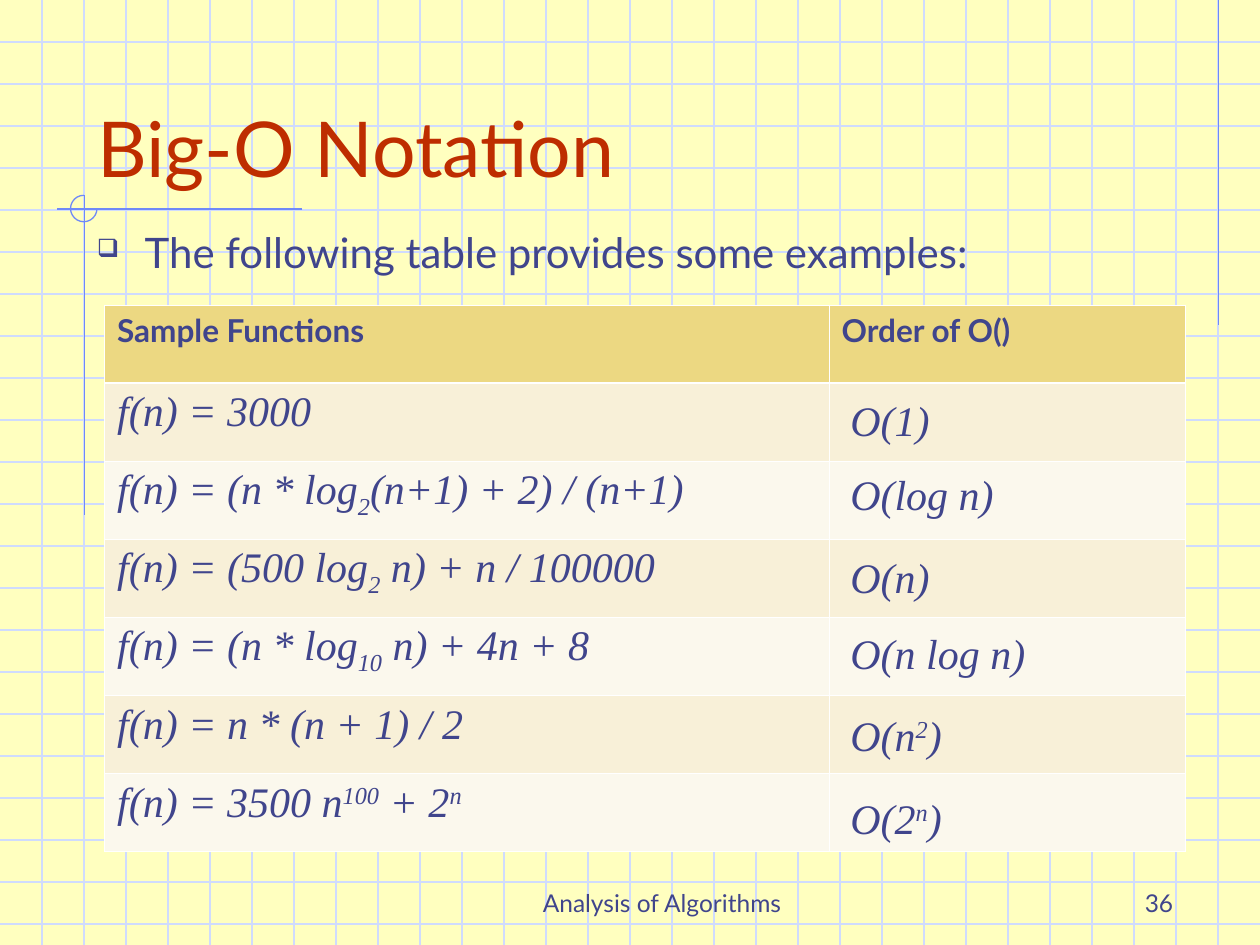
from lxml import etree
from pptx import Presentation
from pptx.dml.color import RGBColor
from pptx.enum.shapes import MSO_CONNECTOR, MSO_SHAPE
from pptx.enum.text import MSO_ANCHOR, MSO_AUTO_SIZE, PP_ALIGN
from pptx.oxml.ns import qn
from pptx.util import Inches, Pt

STRAIGHT = MSO_CONNECTOR.STRAIGHT
ARC = MSO_SHAPE.ARC
GROW = MSO_AUTO_SIZE.SHAPE_TO_FIT_TEXT
LEFT, CENTER, RIGHT = PP_ALIGN.LEFT, PP_ALIGN.CENTER, PP_ALIGN.RIGHT
TOP, BOTTOM = MSO_ANCHOR.TOP, MSO_ANCHOR.BOTTOM
COLORS = {
    "background": "FFFFBF", "grid": "CFDBFD", "accent": "6F89F7",
    "title": "BE2D00", "text": "40458C", "header": "ECD882",
    "odd row": "F8F0D8", "even row": "FBF8ED", "border": "FFFFFF",
}
SANS, SERIF = "Lato", "Times New Roman"
SUB, SUPER = -25, 30  # baseline shift in percent

# Content: a formula is a list of (text, baseline) parts
TITLE = "Big-O Notation"
INTRO = "The following table provides some examples:"
HEADERS = ["Sample Functions", "Order of O()"]
FUNCTIONS = [
    [("f(n) = 3000", 0)],
    [("f(n) = (n * log", 0), ("2", SUB), ("(n+1) + 2) / (n+1)", 0)],
    [("f(n) = (500 log", 0), ("2", SUB), (" n) + n / 100000", 0)],
    [("f(n) = (n * log", 0), ("10", SUB), (" n) + 4n + 8", 0)],
    [("f(n) = n * (n + 1) / 2", 0)],
    [("f(n) = 3500 n", 0), ("100", SUPER), (" + 2", 0), ("n", SUPER)],
]
ORDERS = [  # top, width, formula
    (3.08, 0.83, [("O(1)", 0)]),
    (3.67, 1.34, [("O(log n)", 0)]),
    (4.33, 0.83, [("O(n)", 0)]),
    (4.93, 1.59, [("O(n log n)", 0)]),
    (5.58, 0.95, [("O(n", 0), ("2", SUPER), (")", 0)]),
    (6.24, 0.95, [("O(2", 0), ("n", SUPER), (")", 0)]),
]
FOOTERS = [  # text, left, width, alignment
    ("Analysis of Algorithms", 3.67, 3.17, CENTER),
    ("36", 7.33, 2.08, RIGHT),
]
ACCENT_LINES = [(9.67, 0, 9.67, 2.58), (2.4, 1.66, 0.45, 1.66), (0.67, 1.55, 0.67, 4.09)]
WIDTH, HEIGHT, GRID_PER_INCH = 10, 7.5, 3
COLUMN_WIDTHS, ROW_HEIGHT = [5.75, 2.83], 0.62


def rgb(name):
    return RGBColor.from_string(COLORS[name])


def style(font, size, face=SANS, color="text"):
    font.size, font.name = Pt(size), face
    font.color.rgb = rgb(color)


def add_line(shapes, x1, y1, x2, y2, color):
    line = shapes.add_connector(STRAIGHT, Inches(x1), Inches(y1), Inches(x2), Inches(y2))
    line.line.color.rgb = rgb(color)
    line.line.width = Pt(0.75)
    etree.SubElement(line._element.spPr, qn("a:effectLst"))


def add_box(shapes, left, top, width, height, anchor=TOP):
    frame = shapes.add_textbox(Inches(left), Inches(top), Inches(width), Inches(height)).text_frame
    frame.word_wrap, frame.vertical_anchor = True, anchor
    return frame


def write_formula(paragraph, parts):
    for text, baseline in parts:
        run = paragraph.add_run()
        run.text = text
        style(run.font, 24, SERIF)
        run.font.italic = True
        if baseline:
            run.font._element.set("baseline", str(baseline * 1000))


def add_bullet(paragraph):
    pPr = paragraph._p.get_or_add_pPr()
    pPr.set("marL", str(Inches(0.38)))
    pPr.set("indent", str(-Inches(0.38)))
    etree.SubElement(pPr, qn("a:buSzPct")).set("val", "60000")
    etree.SubElement(pPr, qn("a:buChar")).set("char", "❑")


def format_cell(cell, fill, widths):
    tcPr = cell._tc.get_or_add_tcPr()
    for side in ("L", "R", "T", "B"):
        border = etree.SubElement(tcPr, qn(f"a:ln{side}"), w=str(Pt(widths.get(side, 0.45))))
        solid = etree.SubElement(border, qn("a:solidFill"))
        etree.SubElement(solid, qn("a:srgbClr")).set("val", COLORS["border"])
    cell.fill.solid()
    cell.fill.fore_color.rgb = rgb(fill)


def add_backdrop(slide):
    slide.background.fill.solid()
    slide.background.fill.fore_color.rgb = rgb("background")
    for i in range(1, int(HEIGHT * GRID_PER_INCH) + 1):
        add_line(slide.shapes, 0, i / GRID_PER_INCH, WIDTH, i / GRID_PER_INCH, "grid")
    for i in range(1, WIDTH * GRID_PER_INCH):
        add_line(slide.shapes, i / GRID_PER_INCH, 0, i / GRID_PER_INCH, HEIGHT, "grid")
    for ends in ACCENT_LINES:
        add_line(slide.shapes, *ends, "accent")
    # Three-quarter circle, open at the top right
    arc = slide.shapes.add_shape(ARC, Inches(0.56), Inches(1.55), Inches(0.21), Inches(0.21))
    arc.adjustments[0], arc.adjustments[1] = 0, 162  # 0 to 270 degrees
    arc.shadow.inherit = False
    arc.fill.background()
    arc.line.color.rgb = rgb("accent")
    arc.line.width = Pt(0.75)


def add_function_table(shapes):
    table = shapes.add_table(
        len(FUNCTIONS) + 1, len(HEADERS), Inches(0.83), Inches(2.42),
        Inches(sum(COLUMN_WIDTHS)), Inches(ROW_HEIGHT * (len(FUNCTIONS) + 1))).table
    table.first_row = table.horz_banding = False
    for column, width in zip(table.columns, COLUMN_WIDTHS):
        column.width = Inches(width)
    for c, header in enumerate(HEADERS):
        cell = table.cell(0, c)
        cell.text = header
        font = cell.text_frame.paragraphs[0].runs[0].font
        style(font, 18)
        font.bold = True
        format_cell(cell, "header", {"B": 1.47})
    for r, function in enumerate(FUNCTIONS, 1):
        write_formula(table.cell(r, 0).text_frame.paragraphs[0], function)
        for c in range(len(HEADERS)):
            format_cell(table.cell(r, c), "odd row" if r % 2 else "even row",
                        {"T": 1.47} if r == 1 else {})


def main():
    prs = Presentation()
    prs.slide_width, prs.slide_height = Inches(WIDTH), Inches(HEIGHT)
    slide = prs.slides.add_slide(prs.slide_layouts[5])
    shapes = slide.shapes
    add_backdrop(slide)

    # Footer and slide number
    for text, left, width, alignment in FOOTERS:
        paragraph = add_box(shapes, left, 6.83, width, 0.5, BOTTOM).paragraphs[0]
        paragraph.text = text
        paragraph.alignment = alignment
        style(paragraph.runs[0].font, 14)

    # Title, brought in front of the grid
    title = shapes.title
    title.left, title.top, title.width, title.height = map(Inches, (0.67, 0.33, 8.5, 1.25))
    title.text_frame.text = TITLE
    title.text_frame.vertical_anchor = BOTTOM
    title.text_frame.paragraphs[0].alignment = LEFT
    style(title.text_frame.paragraphs[0].runs[0].font, 44, color="title")
    shapes._spTree.append(title._element)

    # Introductory bullet
    intro = add_box(shapes, 0.67, 1.75, 8.33, 5.5).paragraphs[0]
    intro.text = INTRO
    add_bullet(intro)
    style(intro.runs[0].font, 24)

    # Table, with the orders laid over its second column
    add_function_table(shapes)
    for top, width, formula in ORDERS:
        order = add_box(shapes, 6.65, top, width, 0.5)
        order.word_wrap, order.auto_size = False, GROW
        write_formula(order.paragraphs[0], formula)

    prs.save("out.pptx")


if __name__ == "__main__":
    main()
